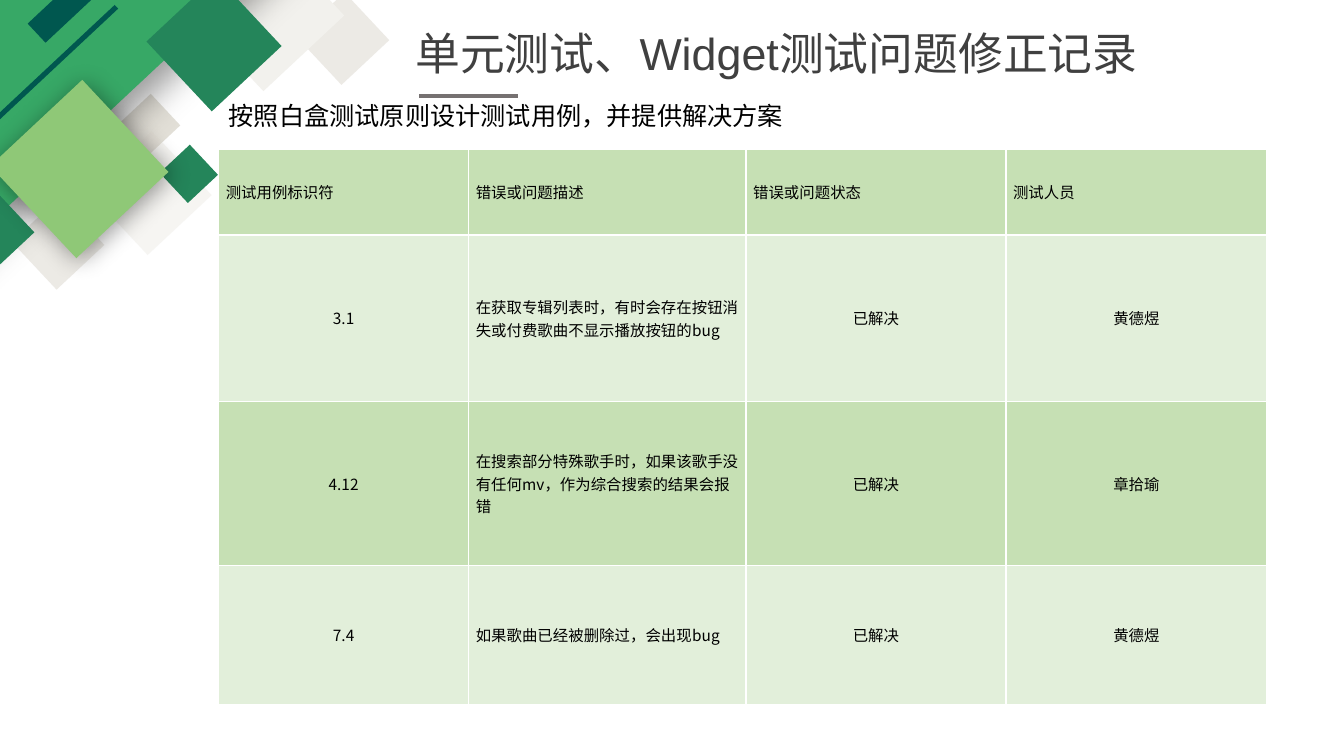
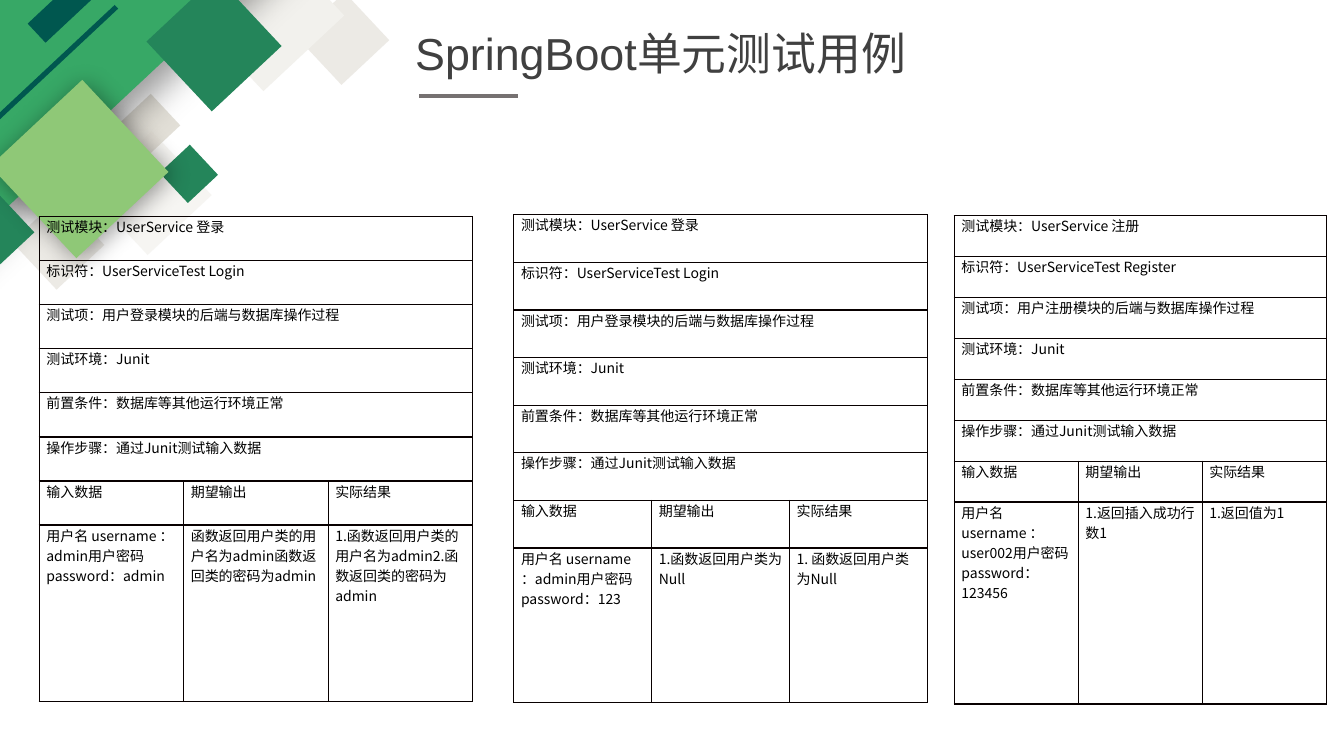
from lxml.etree import SubElement
from pptx import Presentation
from pptx.dml.color import RGBColor
from pptx.enum.shapes import MSO_CONNECTOR, MSO_SHAPE
from pptx.enum.text import MSO_ANCHOR, MSO_AUTO_SIZE, PP_ALIGN
from pptx.oxml.ns import qn
from pptx.util import Cm, Pt

WHITE = RGBColor(0xFF, 0xFF, 0xFF)
BLACK = RGBColor(0, 0, 0)
INK = RGBColor(0x08, 0, 0)
GREY = RGBColor(0x40, 0x40, 0x40)
RULE = RGBColor(0x76, 0x71, 0x71)
SAND = RGBColor(0xE7, 0xE4, 0xDD)
PALE = RGBColor(0xF2, 0xF1, 0xED)
STONE = RGBColor(0xD8, 0xD4, 0xC9)
GREEN = RGBColor(0x37, 0xA8, 0x66)
DEEP = RGBColor(0x24, 0x85, 0x5A)
TEAL = RGBColor(0, 0x57, 0x4F)
LIME = RGBColor(0x8F, 0xC8, 0x77)
BAND = RGBColor(0xC6, 0xE0, 0xB4)
TINT = RGBColor(0xE2, 0xEF, 0xDA)

CJK, LATIN, LABEL = "Noto Sans CJK SC", "Arial", "Calibri"
ANGLE = 316.9

# left, top, width, height in cm, colour, opacity %, shadow (blur, distance, angle)
TILES = [
    (7.82, 0.15, 1.65, 1.65, SAND, 76, None),
    (5.31, -1.07, 2.79, 2.79, PALE, 100, None),
    (0.64, 5.31, 1.65, 1.65, SAND, 76, None),
    (2.67, 3.76, 2.21, 2.21, PALE, 67, None),
    (3.23, 2.59, 1.09, 1.09, STONE, 73, None),
    (-5.16, -3.45, 13.39, 6.25, GREEN, 100, (27, 16, 90)),
    (-4.14, 2.9, 8.18, 0.13, TEAL, 100, None),
    (4.24, 3.86, 1.04, 1.04, DEEP, 100, None),
    (4.19, -0.1, 2.41, 2.41, DEEP, 100, None),
    (-1.22, 4.95, 1.73, 1.73, DEEP, 100, None),
    (0.41, 2.67, 3.18, 3.18, LIME, 100, (18, 3, 45)),
    (-0.2, -2.34, 8.33, 0.66, TEAL, 100, None),
]

FRAME = dict(word_wrap=True, auto_size=MSO_AUTO_SIZE.NONE, margin_right=0,
             margin_top=0, margin_bottom=0, vertical_anchor=MSO_ANCHOR.MIDDLE)
CELL = dict(margin_left=Cm(0.18), margin_right=Cm(0.18), margin_top=0, margin_bottom=0)

ISSUES = [
    ("测试用例标识符", "错误或问题描述", "错误或问题状态", "测试人员"),
    ("3.1", "在获取专辑列表时，有时会存在按钮消失或付费歌曲不显示播放按钮的bug", "已解决", "黄德煜"),
    ("4.12", "在搜索部分特殊歌手时，如果该歌手没有任何mv，作为综合搜索的结果会报错", "已解决", "章拾瑜"),
    ("7.4", "如果歌曲已经被删除过，会出现bug", "已解决", "黄德煜"),
]

# box (left, top, width), row height, last row height, action, test, results
CASES = [
    ((0.99, 5.46, 10.92), 1.11, 4.45, "登录", "Login",
     ("用户名 username ：admin用户密码 password：admin",
      "函数返回用户类的用户名为admin函数返回类的密码为admin",
      "1.函数返回用户类的用户名为admin2.函数返回类的密码为admin")),
    ((12.95, 5.41, 10.42), 1.2, 3.89, "登录", "Login",
     ("用户名 username ：admin用户密码 password：123",
      "1.函数返回用户类为Null", "1. 函数返回用户类为Null")),
    ((24.05, 5.44, 9.37), 1.03, 5.09, "注册", "Register",
     ("用户名 username ：user002用户密码 password：123456",
      "1.返回插入成功行数1", "1.返回值为1")),
]


def style(item, form):
    for key, value in form.items():
        setattr(item, key, value)


def write(para, text, size, color, face):
    run = para.add_run()
    run.text = text
    style(run.font, dict(size=Pt(size), name=face, bold=False))
    run.font.color.rgb = color
    SubElement(run._r.get_or_add_rPr(), qn("a:ea"), typeface=CJK)


def fill_holder(holder, box, text, size, color):
    """Move a placeholder to its box and set one plain line in it."""
    style(holder, dict(zip(("left", "top", "width", "height"), map(Cm, box))))
    frame = holder.text_frame
    style(frame, FRAME)
    para = frame.paragraphs[0]
    props = para._p.get_or_add_pPr()
    props.set("marL", "0")
    props.set("indent", "0")
    SubElement(props, qn("a:buNone"))
    style(para, dict(alignment=PP_ALIGN.LEFT, space_before=Pt(0)))
    write(para, text, size, color, LATIN)


def add_tile(shapes, left, top, wide, high, color, alpha, shade):
    tile = shapes.add_shape(MSO_SHAPE.RECTANGLE, *map(Cm, (left, top, wide, high)))
    tile.rotation = ANGLE
    tile.shadow.inherit = False
    tile.line.fill.background()
    tile.fill.solid()
    tile.fill.fore_color.rgb = color
    props = tile.element.spPr
    if alpha < 100:
        SubElement(props.find(".//" + qn("a:srgbClr")), qn("a:alpha"), val=str(alpha * 1000))
    if shade:
        blur, dist, turn = shade
        outer = SubElement(props.find(qn("a:effectLst")), qn("a:outerShdw"),
                           blurRad=str(Pt(blur)), dist=str(Pt(dist)),
                           dir=str(turn * 60000), algn="ctr", rotWithShape="0")
        tone = SubElement(outer, qn("a:srgbClr"), val="000000")
        SubElement(tone, qn("a:alpha"), val="40000")
    return tile


def add_rule(shapes):
    rule = shapes.add_connector(MSO_CONNECTOR.STRAIGHT, Cm(10.57), Cm(2.41), Cm(13.06), Cm(2.41))
    rule.line.color.rgb = RULE
    rule.line.width = Pt(3)
    SubElement(rule.element.spPr, qn("a:effectLst"))
    return rule


def dress_master(master, slide):
    """Draw the corner tiles and title rule, then hand them to the master."""
    parts = [add_tile(slide.shapes, *tile) for tile in TILES]
    parts.append(add_rule(slide.shapes))
    for num, part in enumerate(parts, 20):
        part.element.xpath(".//p:cNvPr")[0].set("id", str(num))
        master.shapes.element.append(part.element)


def add_grid(slide, left, top, cols, rows, edge):
    """Add a bare table with one point borders."""
    grid = slide.shapes.add_table(len(rows), len(cols), Cm(left), Cm(top),
                                  Cm(sum(cols)), Cm(sum(rows))).table
    style(grid, dict(first_row=False, horz_banding=False))
    for col, wide in zip(grid.columns, cols):
        col.width = Cm(wide)
    for row, high in zip(grid.rows, rows):
        row.height = Cm(high)
    for cell in grid.iter_cells():
        style(cell, CELL)
        props = cell._tc.get_or_add_tcPr()
        for side in "LRTB":
            line = SubElement(props, qn("a:ln" + side), w=str(Pt(1)))
            SubElement(SubElement(line, qn("a:solidFill")), qn("a:srgbClr"), val=str(edge))
        cell.fill.background()
    return grid


def add_issues(slide, left, top):
    grid = add_grid(slide, left, top, (6.3, 6.99, 6.55, 6.58), (2.16, 4.19, 4.14, 3.51), WHITE)
    for r, row in enumerate(ISSUES):
        for c, text in enumerate(row):
            cell = grid.cell(r, c)
            cell.vertical_anchor = MSO_ANCHOR.MIDDLE
            cell.fill.solid()
            cell.fill.fore_color.rgb = TINT if r % 2 else BAND
            para = cell.text_frame.paragraphs[0]
            para.alignment = PP_ALIGN.LEFT if r == 0 or c == 1 else PP_ALIGN.CENTER
            write(para, text, 11, BLACK, CJK)


def add_case(slide, box, high, last, act, test, results):
    left, top, wide = box
    facts = [
        ("测试模块", f"UserService {act}"),
        ("标识符", f"UserServiceTest {test}"),
        ("测试项", f"用户{act}模块的后端与数据库操作过程"),
        ("测试环境", "Junit"),
        ("前置条件", "数据库等其他运行环境正常"),
        ("操作步骤", "通过Junit测试输入数据"),
    ]
    heads = ("输入数据", "期望输出", "实际结果")
    grid = add_grid(slide, left, top, [wide / 3] * 3, [high] * 7 + [last], INK)
    for r, (label, value) in enumerate(facts):
        grid.cell(r, 0).merge(grid.cell(r, 2))
        para = grid.cell(r, 0).text_frame.paragraphs[0]
        write(para, label, 10, BLACK, LABEL)
        write(para, "：" + value, 10, BLACK, CJK)
    for r, texts, face in ((6, heads, LABEL), (7, results, CJK)):
        for c, text in enumerate(texts):
            write(grid.cell(r, c).text_frame.paragraphs[0], text, 10, BLACK, face)


def add_page(deck, layout, title):
    slide = deck.slides.add_slide(deck.slide_layouts[layout])
    fill_holder(slide.shapes.title, (10.21, 0.51, 19.28, 1.63), title, 32, GREY)
    return slide


def main():
    deck = Presentation()
    style(deck, dict(slide_width=Cm(33.87), slide_height=Cm(19.05)))

    log = add_page(deck, 1, "单元测试、Widget测试问题修正记录")
    dress_master(deck.slide_master, log)
    fill_holder(log.placeholders[1], (5.51, 2.41, 16.79, 1.02),
                "按照白盒测试原则设计测试用例，并提供解决方案", 18, BLACK)
    add_issues(log, 5.51, 3.76)

    tests = add_page(deck, 5, "SpringBoot单元测试用例")
    for case in CASES:
        add_case(tests, *case)
    deck.save("out.pptx")


if __name__ == "__main__":
    main()
